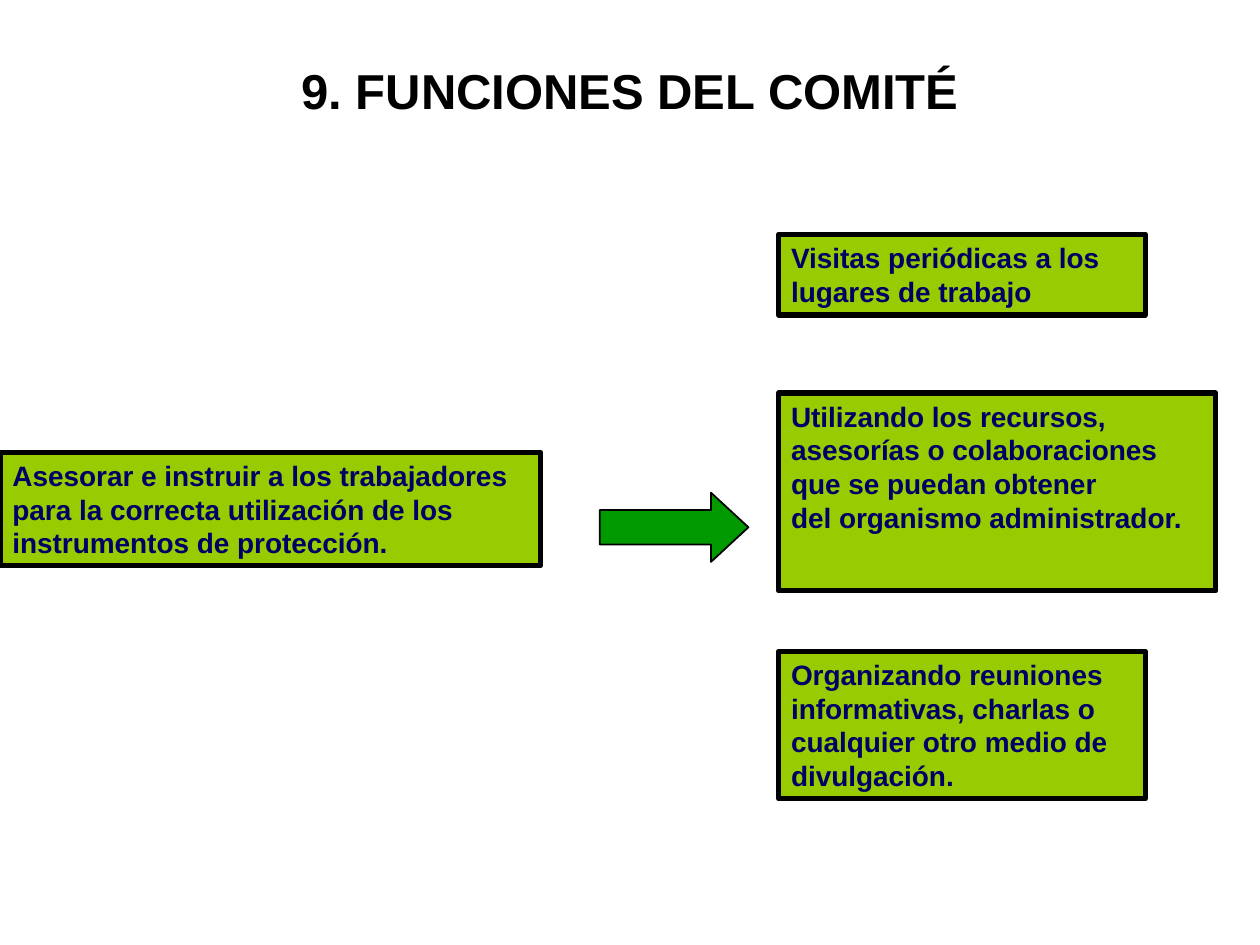
from pptx import Presentation
from pptx.dml.color import RGBColor
from pptx.enum.shapes import MSO_SHAPE
from pptx.enum.text import MSO_ANCHOR, PP_ALIGN
from pptx.util import Inches, Pt

RECTANGLE = MSO_SHAPE.RECTANGLE
RIGHT_ARROW = MSO_SHAPE.RIGHT_ARROW
TOP = MSO_ANCHOR.TOP
LEFT, CENTER = PP_ALIGN.LEFT, PP_ALIGN.CENTER

COLORS = {"title": "000000", "text": "000066", "box": "99CC00",
          "arrow": "009900", "outline": "000000"}
TITLE_ONLY = 5
MEANS_LEFT = 6.18


class CommitteeSlide:
    font_name = "Arial"

    def __init__(self, presentation):
        layout = presentation.slide_layouts[TITLE_ONLY]
        self.slide = presentation.slides.add_slide(layout)

    def color(self, role):
        return RGBColor.from_string(COLORS[role])

    def set_text(self, frame, lines, size, role, align):
        frame.word_wrap = True
        frame.vertical_anchor = TOP
        frame.text = "\n".join(lines)
        for paragraph in frame.paragraphs:
            paragraph.alignment = align
            paragraph.font.name = self.font_name
            paragraph.font.size = Pt(size)
            paragraph.font.bold = True
            paragraph.font.color.rgb = self.color(role)

    def title(self, heading, left, top, width, height):
        title = self.slide.shapes.title
        title.left, title.top = Inches(left), Inches(top)
        title.width, title.height = Inches(width), Inches(height)
        title.text_frame.margin_top = Inches(0.18)
        self.set_text(title.text_frame, [heading], 28, "title", CENTER)

    def figure(self, kind, bounds, role, line_width):
        figure = self.slide.shapes.add_shape(kind, *map(Inches, bounds))
        figure.shadow.inherit = False
        figure.fill.solid()
        figure.fill.fore_color.rgb = self.color(role)
        figure.line.color.rgb = self.color("outline")
        figure.line.width = Pt(line_width)
        return figure

    def box(self, lines, left, top, width, height):
        box = self.figure(RECTANGLE, (left, top, width, height), "box", 3)
        self.set_text(box.text_frame, lines, 16, "text", LEFT)

    def arrow(self, left, top, width, height):
        arrow = self.figure(RIGHT_ARROW, (left, top, width, height), "arrow", 1)
        arrow.adjustments[1] = 0.54


def main():
    presentation = Presentation()
    presentation.slide_width = Inches(10)
    presentation.slide_height = Inches(7.5)

    committee = CommitteeSlide(presentation)
    committee.title("9. FUNCIONES DEL COMITÉ", 0.5, 0.3, 9, 1.25)
    committee.box(["Asesorar e instruir a los trabajadores",
                   "para la correcta utilización de los",
                   "instrumentos de protección."], 0, 3.59, 4.29, 0.9)
    committee.arrow(4.76, 3.91, 1.18, 0.55)

    means = [
        (1.86, 2.91, 0.64, ["Visitas periódicas a los", "lugares de trabajo"]),
        (3.12, 3.47, 1.57, ["Utilizando los recursos,",
                            "asesorías o colaboraciones",
                            "que se puedan obtener",
                            "del organismo administrador."]),
        (5.17, 2.91, 1.17, ["Organizando reuniones",
                            "informativas, charlas o",
                            "cualquier otro medio de",
                            "divulgación."]),
    ]
    for top, width, height, lines in means:
        committee.box(lines, MEANS_LEFT, top, width, height)

    presentation.save("out.pptx")


if __name__ == "__main__":
    main()
